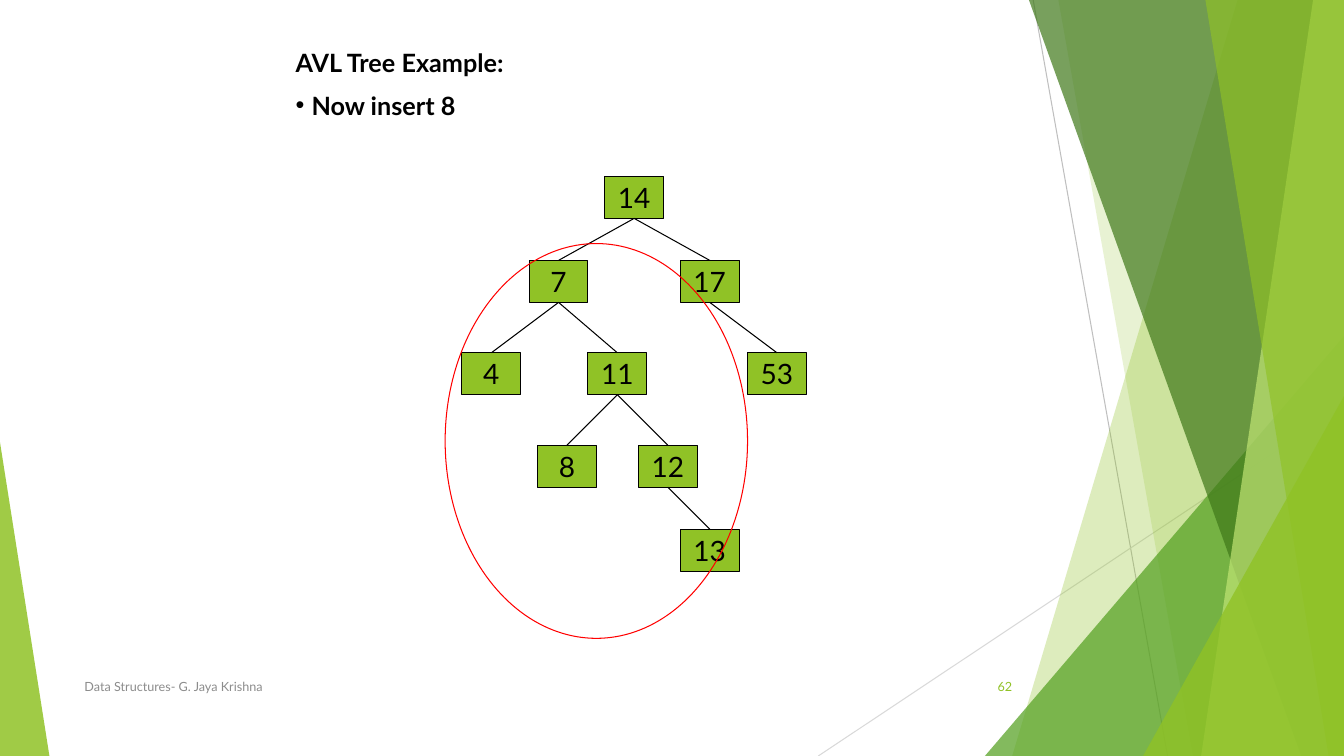
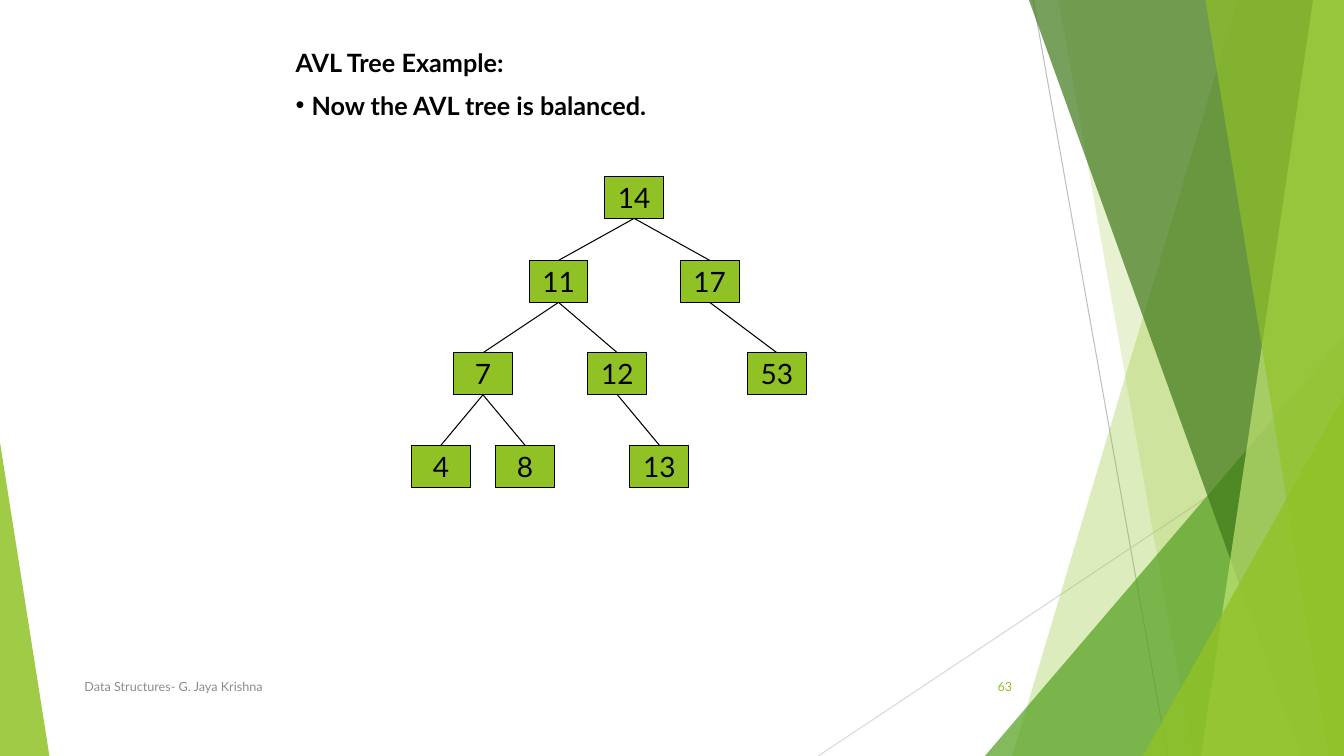
from lxml import etree
from pptx import Presentation
from pptx.dml.color import RGBColor
from pptx.enum import shapes, text
from pptx.oxml import ns
from pptx.util import Pt

# Colours
BLACK = RGBColor(0x00, 0x00, 0x00)
RED = RGBColor(0xFF, 0x00, 0x00)
GREY = RGBColor(0x8C, 0x8C, 0x8C)
MID_GREY = RGBColor(0xBF, 0xBF, 0xBF)
PALE_GREY = RGBColor(0xD9, 0xD9, 0xD9)
LIME = RGBColor(0x90, 0xC2, 0x26)
PALE_LIME = RGBColor(0xC0, 0xE4, 0x74)
GREEN = RGBColor(0x54, 0xA0, 0x21)
DARK_GREEN = RGBColor(0x3F, 0x78, 0x19)

# Measures in points
WIDTH, HEIGHT = 960, 540
NODE_WIDTH, NODE_HEIGHT = 42, 30
ROW_TOPS = (126, 186, 252, 318, 378)
BULLET_INDENT = 11.4

FONT = "Lato"
HEADING = "AVL Tree Example:"
FOOTER = "Data Structures- G. Jaya Krishna"

# Trees: key -> (row, left, parent key)
UNBALANCED = {
    14: (0, 432, None),
    7: (1, 378, 14), 17: (1, 486, 14),
    4: (2, 330, 7), 11: (2, 420, 7), 53: (2, 534, 17),
    8: (3, 384, 11), 12: (3, 456, 11),
    13: (4, 486, 12),
}
BALANCED = {
    14: (0, 432, None),
    11: (1, 378, 14), 17: (1, 486, 14),
    7: (2, 324, 11), 12: (2, 420, 11), 53: (2, 534, 17),
    4: (3, 294, 7), 8: (3, 354, 7), 13: (3, 450, 12),
}


class TreeDeck:
    """Holds the presentation, its style and the current page."""

    def __init__(self):
        self.deck = Presentation()
        self.deck.slide_width, self.deck.slide_height = Pt(WIDTH), Pt(HEIGHT)
        self.page = None

    def new_page(self, statement, number):
        self.page = self.deck.slides.add_slide(self.deck.slide_layouts[1])
        self.backdrop()
        self.heading(statement)
        self.label(FOOTER, 53.3, 496, GREY)
        self.label(str(number), 676, 54, LIME, text.PP_ALIGN.RIGHT)

    # Text
    def add_span(self, para, words, size, color=BLACK, bold=False):
        span = para.add_run()
        span.text = words
        span.font.name, span.font.size = FONT, Pt(size)
        span.font.bold, span.font.color.rgb = bold, color

    def heading(self, statement):
        title, body = self.page.placeholders
        for box, words, top in ((title, HEADING, 30), (body, statement, 60.6)):
            box.left, box.top, box.width, box.height = Pt(204), Pt(top), Pt(564), Pt(30)
            # Bring the placeholder in front of the backdrop
            self.page.shapes.element.append(box.element)
            frame = box.text_frame
            frame.auto_size = text.MSO_AUTO_SIZE.NONE
            frame.vertical_anchor = text.MSO_ANCHOR.TOP
            para = frame.paragraphs[0]
            para.alignment = text.PP_ALIGN.LEFT
            para.space_before = Pt(0)
            if box is body:
                self.bullet(para)
            self.add_span(para, words, 18, bold=True)

    def bullet(self, para):
        properties = para._p.get_or_add_pPr()
        properties.set("marL", str(Pt(BULLET_INDENT)))
        properties.set("indent", str(-Pt(BULLET_INDENT)))
        etree.SubElement(properties, ns.qn("a:buChar")).set("char", "•")

    def label(self, words, left, width, color, align=text.PP_ALIGN.LEFT):
        box = self.page.shapes.add_textbox(Pt(left), Pt(476), Pt(width), Pt(29))
        frame = box.text_frame
        frame.word_wrap = True
        frame.vertical_anchor = text.MSO_ANCHOR.MIDDLE
        frame.paragraphs[0].alignment = align
        self.add_span(frame.paragraphs[0], words, 9, color)

    # Shapes and lines
    def shape(self, kind, left, top, width, height):
        shape = self.page.shapes.add_shape(kind, Pt(left), Pt(top), Pt(width), Pt(height))
        shape.shadow.inherit = False
        return shape

    def outline(self, shape, color):
        shape.line.color.rgb, shape.line.width = color, Pt(0.75)

    def line(self, start, end, color):
        line = self.page.shapes.add_connector(
            shapes.MSO_CONNECTOR.STRAIGHT, *(Pt(value) for value in (*start, *end)))
        self.outline(line, color)
        etree.SubElement(line.element.spPr, ns.qn("a:effectLst"))
        return line

    def tint(self, shape, color, opacity):
        shape.shadow.inherit = False
        shape.line.fill.background()
        shape.fill.solid()
        shape.fill.fore_color.rgb = color
        value = shape.element.spPr.find(ns.qn("a:solidFill"))[0]
        etree.SubElement(value, ns.qn("a:alpha")).set("val", str(opacity * 1000))

    # Backdrop
    def band(self, top_left, bottom_left, color, opacity):
        """Full-height panel with a slanted left edge."""
        outline = self.page.shapes.build_freeform(Pt(top_left), 0)
        corners = ((WIDTH, 0), (WIDTH, HEIGHT), (bottom_left, HEIGHT))
        outline.add_line_segments([(Pt(x), Pt(y)) for x, y in corners])
        self.tint(outline.convert_to_shape(), color, opacity)

    def wedge(self, left, top, width, apex, color, opacity):
        """Right triangle standing on the bottom edge."""
        wedge = self.shape(shapes.MSO_SHAPE.ISOSCELES_TRIANGLE,
                           left, top, width, HEIGHT - top)
        wedge.adjustments[0] = apex
        self.tint(wedge, color, opacity)

    def backdrop(self):
        self.line((738, 0), (834, HEIGHT), MID_GREY)
        self.line((WIDTH, 290), (584.5, HEIGHT), PALE_GREY)
        self.band(884, 723, LIME, 30)
        self.band(756, 852, LIME, 20)
        self.wedge(703.5, 240, 256.5, 1, GREEN, 72)
        self.band(735, 929.5, DARK_GREEN, 70)
        self.band(938, 858, PALE_LIME, 70)
        self.band(861, 949, LIME, 65)
        self.wedge(816.5, 283, 143.5, 1, LIME, 80)
        self.wedge(0, 316, 35.3, 0, LIME, 85)

    # Tree
    def node(self, key, row, left):
        box = self.shape(shapes.MSO_SHAPE.RECTANGLE, left, ROW_TOPS[row],
                         NODE_WIDTH, NODE_HEIGHT)
        box.fill.solid()
        box.fill.fore_color.rgb = LIME
        self.outline(box, BLACK)
        frame = box.text_frame
        frame.word_wrap = False
        frame.vertical_anchor = text.MSO_ANCHOR.MIDDLE
        frame.paragraphs[0].alignment = text.PP_ALIGN.CENTER
        self.add_span(frame.paragraphs[0], str(key), 20)
        return box

    def tree(self, nodes):
        boxes = {}
        for key, (row, left, parent) in nodes.items():
            boxes[key] = self.node(key, row, left)
            if parent is not None:
                edge = self.line((0, 0), (0, 0), BLACK)
                edge.begin_connect(boxes[parent], 2)
                edge.end_connect(boxes[key], 0)

    def ring(self, left, top, width, height):
        ring = self.shape(shapes.MSO_SHAPE.OVAL, left, top, width, height)
        ring.fill.background()
        self.outline(ring, RED)


def main():
    show = TreeDeck()

    # Insertion that unbalances the tree
    show.new_page("Now insert 8", 62)
    show.tree(UNBALANCED)
    show.ring(318, 174, 216, 282)

    # Balanced result
    show.new_page("Now the AVL tree is balanced.", 63)
    show.tree(BALANCED)

    show.deck.save("out.pptx")


if __name__ == "__main__":
    main()
